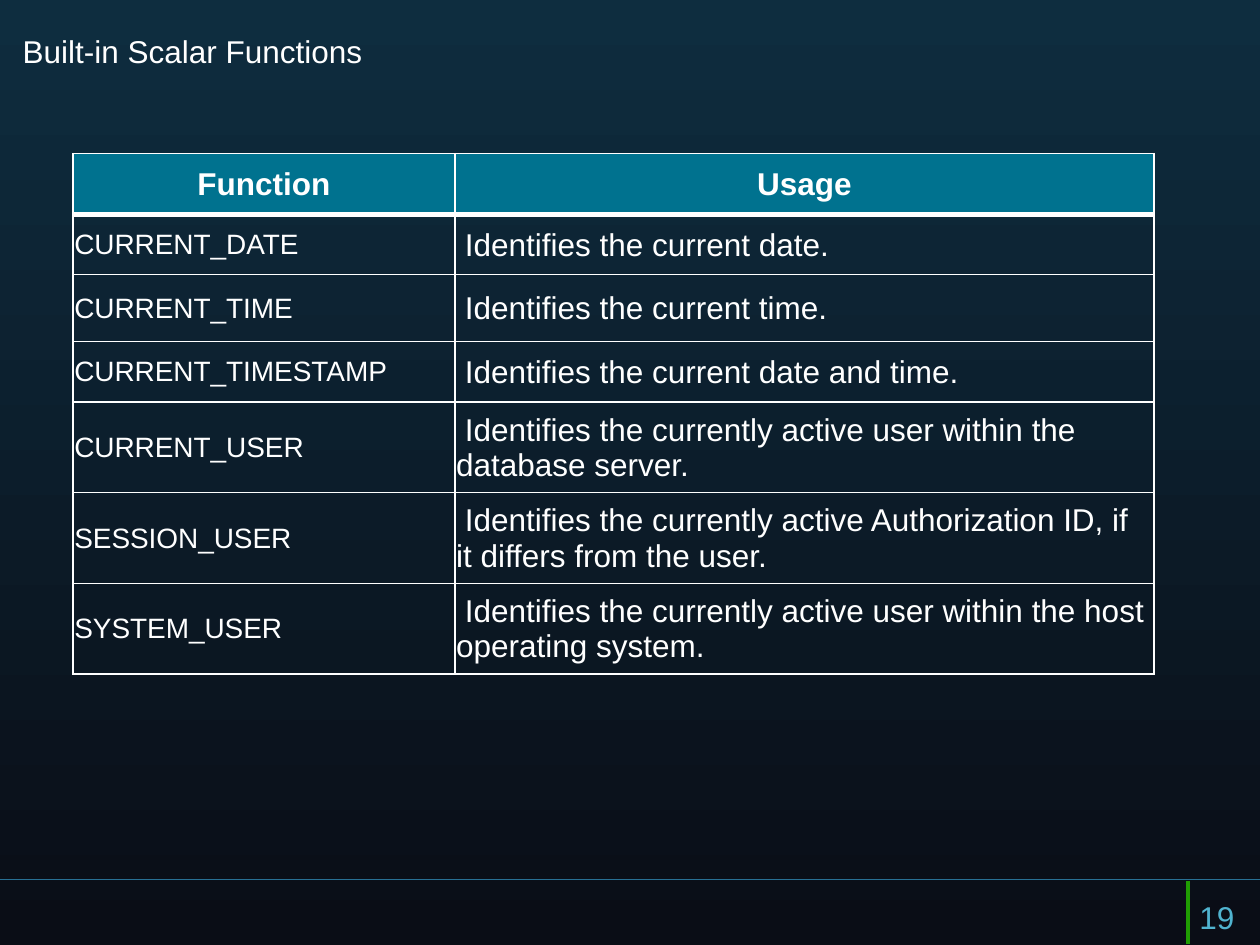
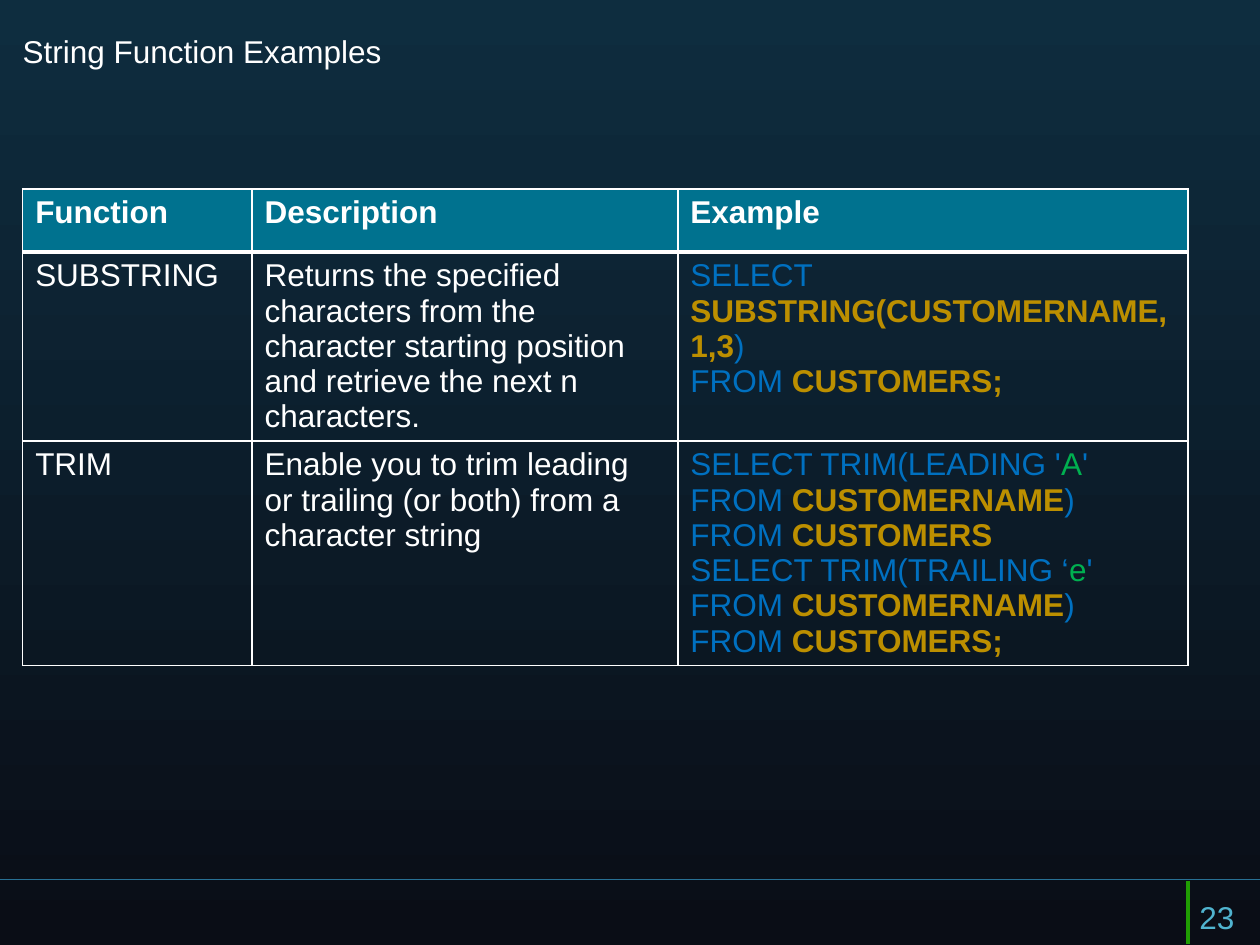
from lxml.etree import SubElement
from pptx import Presentation
from pptx.dml.color import RGBColor
from pptx.enum.shapes import MSO_CONNECTOR as Connector
from pptx.enum.text import MSO_ANCHOR as Anchor, MSO_AUTO_SIZE as AutoSize, PP_ALIGN as Align
from pptx.oxml.ns import qn
from pptx.util import Inches, Pt

# Colours and type
NIGHT_TOP = RGBColor(0x0E, 0x2D, 0x3F)
NIGHT_BOTTOM = RGBColor(0x0A, 0x0D, 0x16)
WHITE = RGBColor(0xFF, 0xFF, 0xFF)
HEADER = RGBColor(0x00, 0x72, 0x8F)
RULE = RGBColor(0x28, 0x70, 0x94)
GREEN_BAR = RGBColor(0x20, 0x9D, 0x03)
NUMBER = RGBColor(0x50, 0xB3, 0xCF)
KEYWORD = RGBColor(0x00, 0x70, 0xC0)
NAME = RGBColor(0xBC, 0x8F, 0x00)
LITERAL = RGBColor(0x00, 0xB0, 0x50)
FONT = "Arial"

# Grid: the slide is 100 units wide and 75 units high
WIDTH, HEIGHT = Inches(10), Inches(7.5)
UNIT = WIDTH // 100
FOOTER_TOP = 69.8
BAR_LEFT = 94.3

# Cell text: a list of paragraphs, each a list of (text, colour, bold) spans
SELECT_SUBSTRING = [
    [("SELECT ", KEYWORD, False), ("SUBSTRING(CUSTOMERNAME,1,3", NAME, True), (")", KEYWORD, False)],
    [("FROM ", KEYWORD, False), ("CUSTOMERS;", NAME, True)],
]
SELECT_TRIM = [
    [("SELECT TRIM(LEADING '", KEYWORD, False), ("A", LITERAL, False), ("'", KEYWORD, False)],
    [("FROM ", KEYWORD, False), ("CUSTOMERNAME", NAME, True), (") FROM ", KEYWORD, False),
     ("CUSTOMERS", NAME, True)],
    [("SELECT TRIM(TRAILING ‘", KEYWORD, False), ("e", LITERAL, False), ("'", KEYWORD, False)],
    [("FROM ", KEYWORD, False), ("CUSTOMERNAME", NAME, True), (")", KEYWORD, False)],
    [("FROM ", KEYWORD, False), ("CUSTOMERS;", NAME, True)],
]

PAGES = [
    {
        "title": "Built-in Scalar Functions", "number": "19",
        "left": 5.8, "top": 12.2, "columns": [30.3, 55.5],
        "rows": [4.8, 4.8, 5.3, 4.8, 7.2, 7.2, 7.2],
        "tight": True, "name_size": 16,
        "cells": [
            ["Function", "Usage"],
            ["CURRENT_DATE", "Identifies the current date."],
            ["CURRENT_TIME", "Identifies the current time."],
            ["CURRENT_TIMESTAMP", "Identifies the current date and time."],
            ["CURRENT_USER", "Identifies the currently active user within the database server."],
            ["SESSION_USER", "Identifies the currently active Authorization ID, if it differs from the user."],
            ["SYSTEM_USER", "Identifies the currently active user within the host operating system."],
        ],
    },
    {
        "title": "String Function Examples", "number": "23",
        "left": 1.8, "top": 15, "columns": [18.2, 33.8, 40.5],
        "rows": [5, 15, 17.8],
        "tight": False, "name_size": 18,
        "cells": [
            ["Function", "Description", "Example"],
            ["SUBSTRING", "Returns the specified characters from the character starting position "
             "and retrieve the next n characters.", SELECT_SUBSTRING],
            ["TRIM", "Enable you to trim leading or trailing (or both) from a character string", SELECT_TRIM],
        ],
    },
]


def units(*values):
    return [round(value * UNIT) for value in values]


def add_span(para, text, color, bold=False, size=18):
    span = para.add_run()
    span.text = text
    span.font.name, span.font.size, span.font.bold = FONT, Pt(size), bold
    span.font.color.rgb = color


deck = Presentation()
deck.slide_width, deck.slide_height = WIDTH, HEIGHT

# Shared background
backdrop = deck.slide_master.background.fill
backdrop.gradient()
backdrop.gradient_angle = 270
for stop, color in zip(backdrop.gradient_stops, (NIGHT_TOP, NIGHT_BOTTOM)):
    stop.color.rgb = color

for content in PAGES:
    page = deck.slides.add_slide(deck.slide_layouts.get_by_name("Title Only"))

    # Footer lines
    for ends, color, weight in (
        ((100, FOOTER_TOP, 0, FOOTER_TOP), RULE, 0.75),
        ((BAR_LEFT, FOOTER_TOP + 0.1, BAR_LEFT, 74.9), GREEN_BAR, 2),
    ):
        line = page.shapes.add_connector(Connector.STRAIGHT, *units(*ends))
        line.line.color.rgb, line.line.width = color, Pt(weight)
        SubElement(line.element.spPr, qn("a:effectLst"))

    # Title and page number
    title = page.shapes.title
    title.left, title.top, title.width, title.height = units(0.8, 2, 75, 5.8)
    number = page.shapes.add_textbox(*units(94.2, 70.8, 5.8, 4.2))
    for box, text, color in ((title, content["title"], WHITE), (number, content["number"], NUMBER)):
        frame = box.text_frame
        frame.word_wrap, frame.auto_size = True, AutoSize.NONE
        frame.vertical_anchor = Anchor.TOP
        frame.paragraphs[0].alignment = Align.LEFT
        add_span(frame.paragraphs[0], text, color)

    # Table grid
    columns, rows, tight = content["columns"], content["rows"], content["tight"]
    area = units(content["left"], content["top"], sum(columns), sum(rows))
    table = page.shapes.add_table(len(rows), len(columns), *area).table
    table.horz_banding = table.first_row = False
    for column, width in zip(table.columns, units(*columns)):
        column.width = width
    for row, height in zip(table.rows, units(*rows)):
        row.height = height

    for r, row_cells in enumerate(content["cells"]):
        for c, paragraphs in enumerate(row_cells):
            cell = table.cell(r, c)
            is_header = r == 0

            # Borders: a heavy rule parts the header from the body
            properties = cell._tc.get_or_add_tcPr()
            weights = {"L": 1, "R": 1, "T": 3 if r == 1 else 1, "B": 3 if is_header else 1}
            for side, weight in weights.items():
                border = SubElement(properties, qn("a:ln" + side), w=str(Pt(weight)))
                solid = SubElement(border, qn("a:solidFill"))
                SubElement(solid, qn("a:srgbClr"), val=str(WHITE))
            if is_header:
                cell.fill.solid()
                cell.fill.fore_color.rgb = HEADER
            else:
                cell.fill.background()

            # Spacing
            if tight:
                cell.vertical_anchor = Anchor.MIDDLE
                cell.margin_left = cell.margin_right = cell.margin_top = Inches(0.01)
                cell.margin_bottom = 0

            # Text
            if isinstance(paragraphs, str):
                paragraphs = [[(paragraphs, WHITE, is_header)]]
            size = content["name_size"] if c == 0 and not is_header else 18
            for p, spans in enumerate(paragraphs):
                para = cell.text_frame.add_paragraph() if p else cell.text_frame.paragraphs[0]
                para.alignment = Align.CENTER if tight and is_header else Align.LEFT
                if tight and c and not is_header:
                    para._p.get_or_add_pPr().set("indent", str(Inches(0.07)))
                for text, color, bold in spans:
                    add_span(para, text, color, bold, size)

deck.save("out.pptx")
